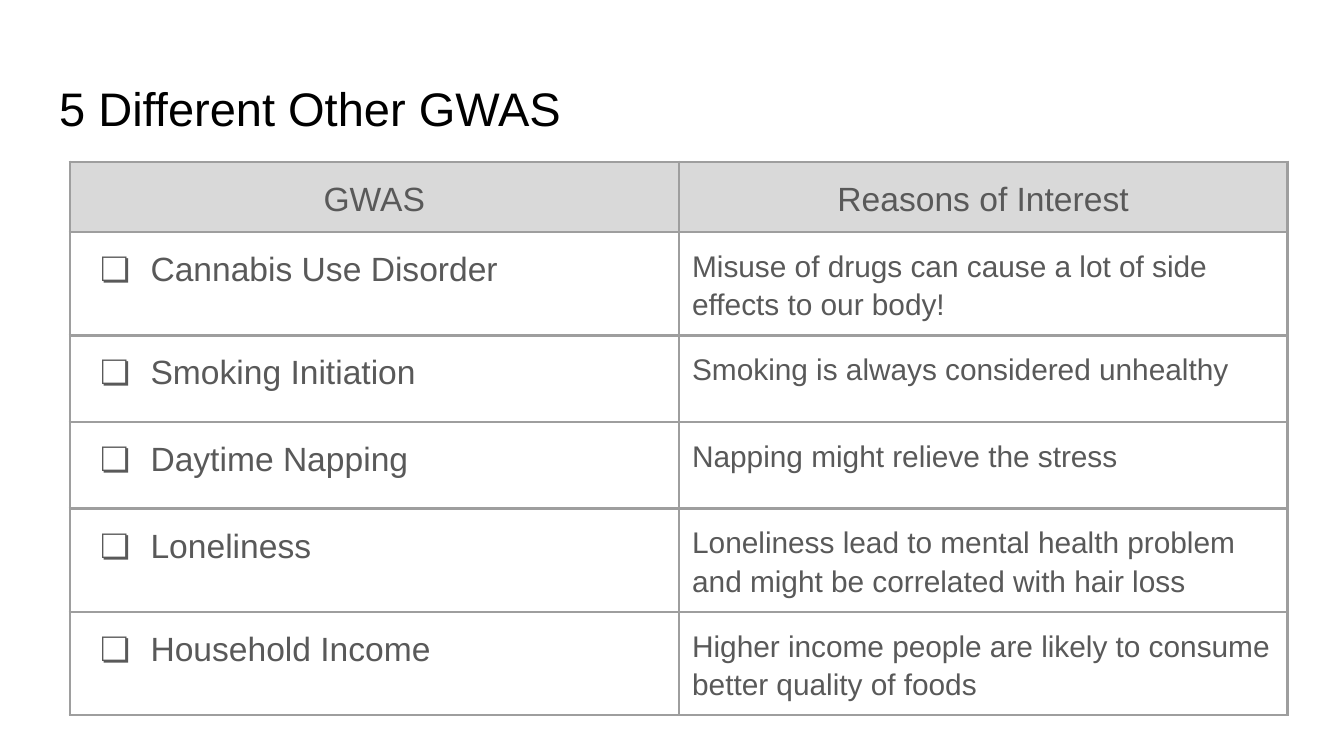
"""Build the slide that lists five other GWAS with the reasons of interest."""
from dataclasses import dataclass

from lxml import etree
from pptx import Presentation
from pptx import util as u
from pptx.dml.color import RGBColor
from pptx.enum import text
from pptx.oxml import ns

SCALE = 4572


def px(length):
    return u.Emu(length * SCALE)


def add_xml(parent, tag, **attributes):
    return etree.SubElement(parent, ns.qn(tag), attributes)


@dataclass(frozen=True)
class Theme:
    font: str = "Arial"
    title: str = "000000"
    body: str = "595959"
    header_fill: str = "D9D9D9"
    border: str = "9E9E9E"
    title_size: float = 25.2
    large: int = 18
    small: int = 16
    border_width: float = 1.5
    line_spacing: float = 1.15
    space_after: int = 12
    inset: int = 20
    bullet: str = "❏"
    bullet_margin: int = 100
    bullet_indent: int = -75


class SlideBuilder:
    def __init__(self, slide, theme):
        self.slide = slide
        self.theme = theme

    def style_runs(self, para, size, color):
        for span in para.runs:
            span.font.name = self.theme.font
            span.font.size = u.Pt(size)
            span.font.color.rgb = RGBColor.from_string(color)

    def set_insets(self, target):
        for side in ("left", "right", "top", "bottom"):
            setattr(target, f"margin_{side}", px(self.theme.inset))

    def title(self, wording, left, top, width, height):
        box = self.slide.shapes.title
        box.left, box.top, box.width, box.height = map(px, (left, top, width, height))
        frame = box.text_frame
        frame.text = wording
        frame.word_wrap = True
        frame.auto_size = text.MSO_AUTO_SIZE.NONE
        frame.vertical_anchor = text.MSO_ANCHOR.MIDDLE
        self.set_insets(frame)
        para = frame.paragraphs[0]
        para.alignment = text.PP_ALIGN.LEFT
        self.style_runs(para, self.theme.title_size, self.theme.title)

    def table(self, rows, left, top, column_width, heights):
        columns = len(rows[0])
        frame = self.slide.shapes.add_table(
            len(rows), columns, px(left), px(top),
            px(column_width * columns), px(sum(heights)))
        grid = frame.table
        grid.first_row = grid.horz_banding = False
        for column in grid.columns:
            column.width = px(column_width)
        for r, (wordings, height) in enumerate(zip(rows, heights)):
            grid.rows[r].height = px(height)
            for c, wording in enumerate(wordings):
                self.cell(grid.cell(r, c), wording, header=r == 0, listed=r > 0 and c == 0)

    def cell(self, cell, wording, header, listed):
        cell.text_frame.text = wording
        self.set_insets(cell)
        self.borders(cell)
        if header:
            cell.fill.solid()
            cell.fill.fore_color.rgb = RGBColor.from_string(self.theme.header_fill)
        else:
            cell.fill.background()
        para = cell.text_frame.paragraphs[0]
        para.alignment = text.PP_ALIGN.CENTER if header else text.PP_ALIGN.LEFT
        para.line_spacing = self.theme.line_spacing
        if listed:
            self.bullet(para)
        else:
            para.space_after = u.Pt(self.theme.space_after)
        size = self.theme.large if header or listed else self.theme.small
        self.style_runs(para, size, self.theme.body)

    def bullet(self, para):
        properties = para._p.get_or_add_pPr()
        properties.set("marL", str(px(self.theme.bullet_margin)))
        properties.set("indent", str(px(self.theme.bullet_indent)))
        color = add_xml(properties, "a:buClr")
        add_xml(color, "a:srgbClr", val=self.theme.body)
        add_xml(properties, "a:buFont", typeface=self.theme.font)
        add_xml(properties, "a:buChar", char=self.theme.bullet)

    def borders(self, cell):
        properties = cell._tc.get_or_add_tcPr()
        for side in "LRTB":
            line = add_xml(properties, f"a:ln{side}", w=str(u.Pt(self.theme.border_width)))
            fill = add_xml(line, "a:solidFill")
            add_xml(fill, "a:srgbClr", val=self.theme.border)


def main():
    deck = Presentation()
    deck.slide_width, deck.slide_height = px(2000), px(1125)
    slide = deck.slides.add_slide(deck.slide_layouts.get_by_name("Title Only"))
    builder = SlideBuilder(slide, Theme())
    builder.title("5 Different Other GWAS", 68, 97, 1864, 126)
    rows = [
        ("GWAS", "Reasons of Interest"),
        ("Cannabis Use Disorder",
         "Misuse of drugs can cause a lot of side effects to our body!"),
        ("Smoking Initiation", "Smoking is always considered unhealthy"),
        ("Daytime Napping", "Napping might relieve the stress"),
        ("Loneliness",
         "Loneliness lead to mental health problem and might be correlated with hair loss"),
        ("Household Income",
         "Higher income people are likely to consume better quality of foods"),
    ]
    builder.table(rows, 104, 241, 906, [98, 129, 129, 129, 134, 134])
    deck.save("out.pptx")


if __name__ == "__main__":
    main()
